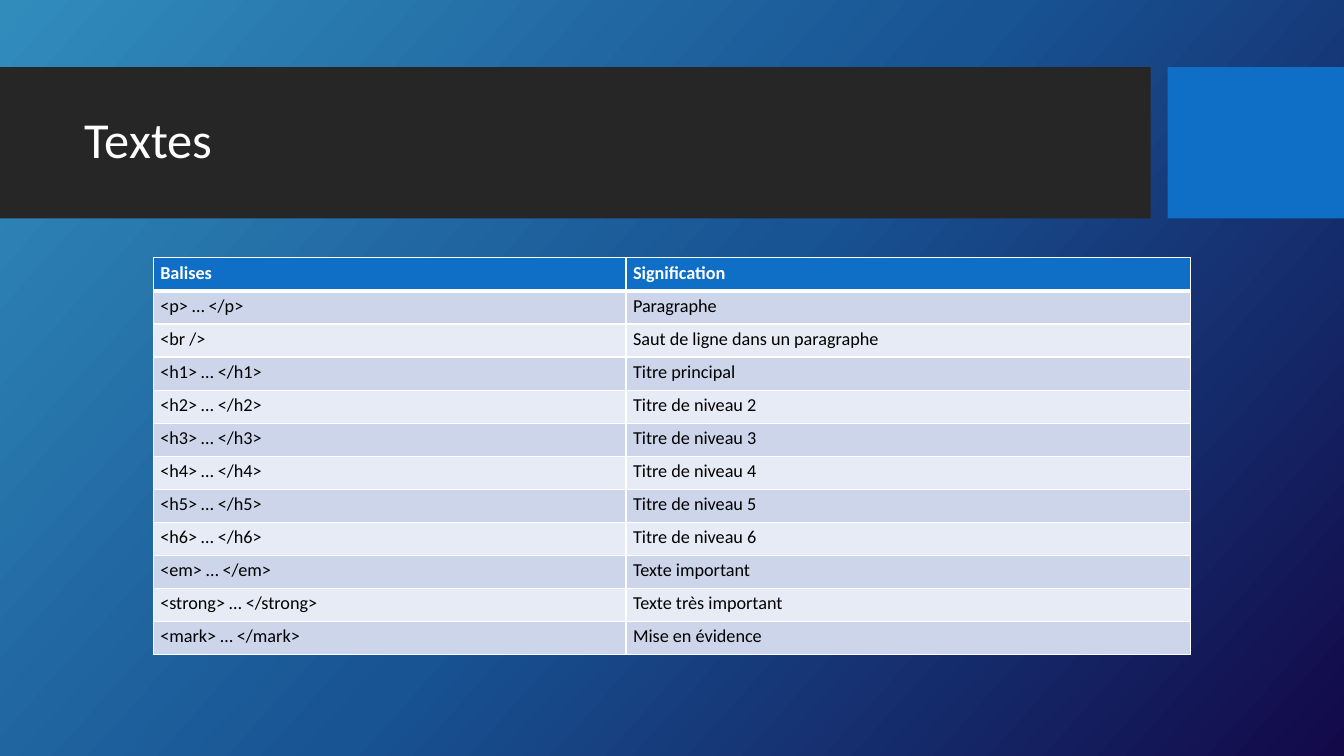
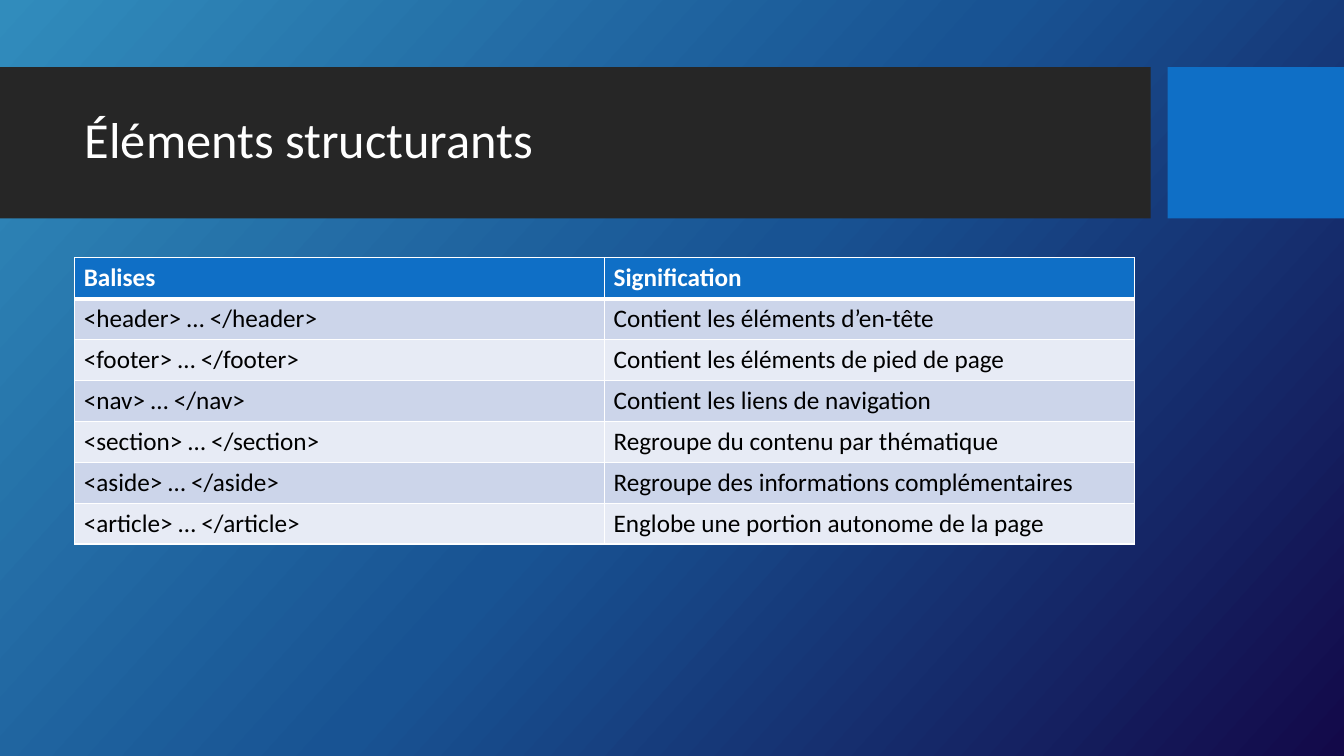
from dataclasses import dataclass

from lxml.etree import SubElement
from pptx import Presentation
from pptx.dml.color import RGBColor
from pptx.enum.shapes import MSO_SHAPE
from pptx.enum.text import MSO_ANCHOR, MSO_AUTO_SIZE, PP_ALIGN
from pptx.oxml.ns import qn
from pptx.util import Inches, Pt


@dataclass(frozen=True)
class Theme:
    font: str = "Calibri"
    title_size: int = 36
    white: str = "FFFFFF"
    black: str = "000000"
    band: str = "262626"
    accent: str = "0F6FC6"
    stripes: tuple = ("E7EBF5", "CCD5EA")
    gradient: tuple = ((0, "318CBC"), (50, "185393"), (100, "130949"))
    gradient_angle: int = 42
    thin_line: int = 1
    thick_line: int = 3


theme = Theme()
COLUMNS, ROWS = 160, 90

TABLES = [
    {
        "title": "Textes",
        "left": 18.25, "columns": (56.28, 67.2), "row": 3.94,
        "size": 13, "insets": (0.07, 0.04),
        "entries": [
            ("<p> … </p>", "Paragraphe"),
            ("<br />", "Saut de ligne dans un paragraphe"),
            ("<h1> … </h1>", "Titre principal"),
            *[(f"<h{level}> … </h{level}>", f"Titre de niveau {level}") for level in range(2, 7)],
            ("<em> … </em>", "Texte important"),
            ("<strong> … </strong>", "Texte très important"),
            ("<mark> … </mark>", "Mise en évidence"),
        ],
    },
    {
        "title": "Éléments structurants",
        "left": 8.9, "columns": (63.08, 63.08), "row": 4.87,
        "size": 18, "insets": (0.09, 0.05),
        "entries": [
            ("<header> … </header>", "Contient les éléments d’en-tête"),
            ("<footer> … </footer>", "Contient les éléments de pied de page"),
            ("<nav> … </nav>", "Contient les liens de navigation"),
            ("<section> … </section>", "Regroupe du contenu par thématique"),
            ("<aside> … </aside>", "Regroupe des informations complémentaires"),
            ("<article> … </article>", "Englobe une portion autonome de la page"),
        ],
    },
]

deck = Presentation()
deck.slide_width, deck.slide_height = Inches(40 / 3), Inches(7.5)


def grid(*lengths):
    return [round(length * deck.slide_height / ROWS) for length in lengths]


def add_border(cell, side, width):
    line = SubElement(cell._tc.get_or_add_tcPr(), qn(f"a:{side}"), w=str(Pt(width)))
    SubElement(SubElement(line, qn("a:solidFill")), qn("a:srgbClr"), val=theme.white)


layout = deck.slide_layouts.get_by_name("Title Only")
background = layout.background.fill
background.gradient()
gradient = background._fill._gradFill
stops = gradient.find(qn("a:gsLst"))
for stop in list(stops):
    stops.remove(stop)
for position, color in theme.gradient:
    stop = SubElement(stops, qn("a:gs"), pos=str(position * 1000))
    SubElement(stop, qn("a:srgbClr"), val=color)
direction = gradient.find(qn("a:lin"))
direction.set("ang", str(theme.gradient_angle * 60000))
direction.set("scaled", "0")

layout_title = next(box for box in layout.placeholders if box.placeholder_format.idx == 0)
layout_title.left, layout_title.top, layout_title.width, layout_title.height = grid(8.9, 9.8, 126.1, 14.2)

pages = [deck.slides.add_slide(layout) for _ in TABLES]

for index, (left, width, color) in enumerate([(0, 137, theme.band), (139, COLUMNS - 139, theme.accent)]):
    band = pages[0].shapes.add_shape(MSO_SHAPE.RECTANGLE, *grid(left, 8, width, 18))
    band.shadow.inherit = False
    band.fill.solid()
    band.fill.fore_color.rgb = RGBColor.from_string(color)
    band.line.fill.background()
    layout.shapes._spTree.insert(2 + index, band._element)

for page, content in zip(pages, TABLES):
    title = page.shapes.title
    title.text = content["title"]
    frame = title.text_frame
    frame.vertical_anchor = MSO_ANCHOR.MIDDLE
    frame.auto_size = MSO_AUTO_SIZE.NONE
    para = frame.paragraphs[0]
    para.alignment = PP_ALIGN.LEFT
    para.line_spacing = 0.9
    para.font.name = theme.font
    para.font.size = Pt(theme.title_size)
    para.font.color.rgb = RGBColor.from_string(theme.white)

    entries = [("Balises", "Signification"), *content["entries"]]
    columns = content["columns"]
    place = grid(content["left"], 30.7, sum(columns), content["row"] * len(entries))
    table = page.shapes.add_table(len(entries), len(columns), *place).table
    for column, width in zip(table.columns, grid(*columns)):
        column.width = width
    side_inset, end_inset = [Inches(inset) for inset in content["insets"]]

    for row_index, entry in enumerate(entries):
        table.rows[row_index].height = grid(content["row"])[0]
        header = row_index == 0
        fill_color = theme.accent if header else theme.stripes[row_index % 2]
        for column_index, text in enumerate(entry):
            cell = table.cell(row_index, column_index)
            cell.text = text
            cell.margin_left = cell.margin_right = side_inset
            cell.margin_top = cell.margin_bottom = end_inset
            add_border(cell, "lnL", theme.thin_line)
            add_border(cell, "lnR", theme.thin_line)
            add_border(cell, "lnT", theme.thick_line if row_index == 1 else theme.thin_line)
            add_border(cell, "lnB", theme.thick_line if header else theme.thin_line)
            cell.fill.solid()
            cell.fill.fore_color.rgb = RGBColor.from_string(fill_color)
            font = cell.text_frame.paragraphs[0].font
            font.name = theme.font
            font.size = Pt(content["size"])
            font.bold = header
            font.color.rgb = RGBColor.from_string(theme.white if header else theme.black)

deck.save("out.pptx")
